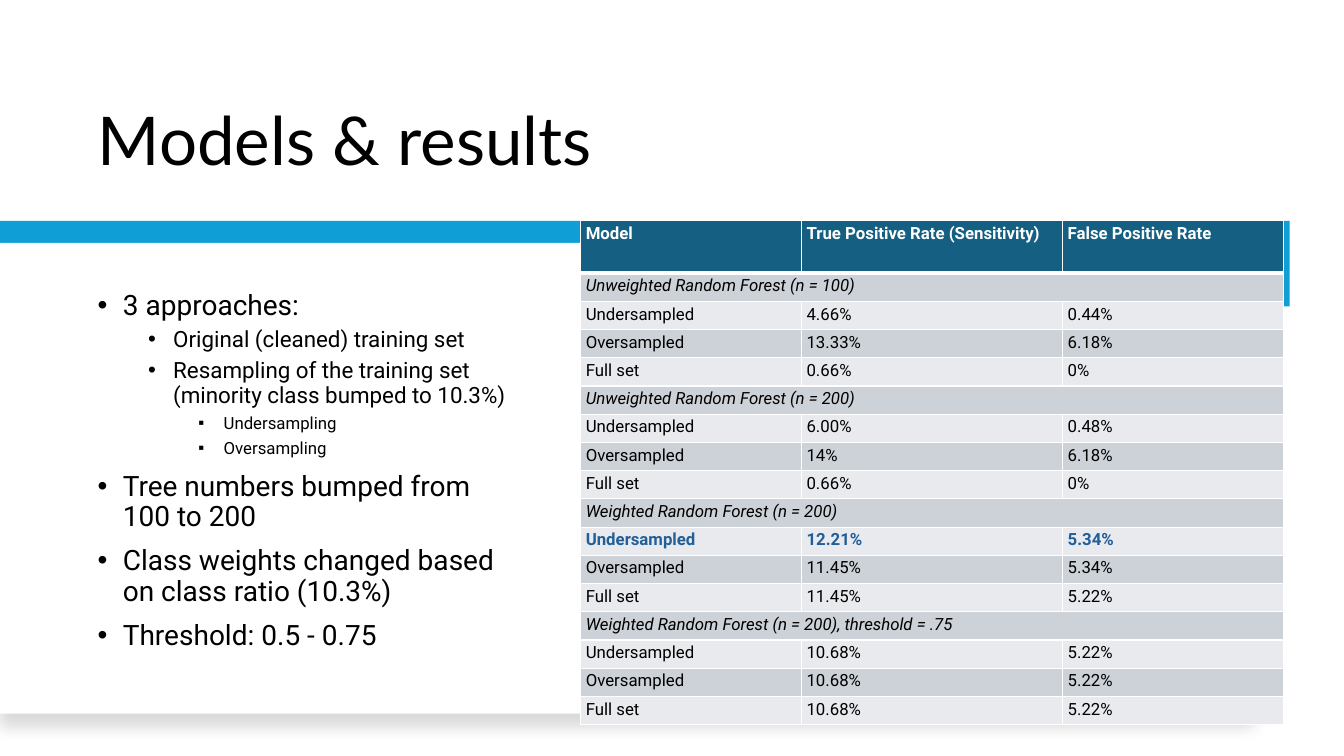
from lxml import etree
from pptx import Presentation
from pptx.dml.color import RGBColor
from pptx.enum.shapes import MSO_SHAPE
from pptx.enum.text import MSO_ANCHOR, MSO_AUTO_SIZE, PP_ALIGN
from pptx.oxml import parse_xml
from pptx.util import Inches, Pt

RECT = MSO_SHAPE.RECTANGLE
LEFT = PP_ALIGN.LEFT
BOTTOM, MIDDLE = MSO_ANCHOR.BOTTOM, MSO_ANCHOR.MIDDLE
FIXED = MSO_AUTO_SIZE.NONE
NS = "http://schemas.openxmlformats.org/drawingml/2006/main"
TAG = "{" + NS + "}"


def paint(fill, color):
    fill.solid()
    fill.fore_color.rgb = RGBColor.from_string(color)


def write(para, text, size, color="000000", face="Roboto"):
    run = para.add_run()
    run.text = text
    run.font.name = face
    run.font.size = Pt(size)
    paint(run.font.fill, color)
    return run.font


deck = Presentation()
deck.slide_width, deck.slide_height = Inches(13.33), Inches(7.5)
slide = deck.slides.add_slide(deck.slide_layouts[5])
shapes = slide.shapes

title = shapes.title
title.left, title.top = Inches(0.87), Inches(0.42)
title.width, title.height = Inches(11.01), Inches(1.42)
frame = title.text_frame
frame.auto_size = FIXED
frame.word_wrap = True
frame.vertical_anchor = BOTTOM
para = frame.paragraphs[0]
para.alignment = LEFT
para.line_spacing = 0.9
write(para, "Models & results", 48, face="Lato")

bars = [
    (0, 2.19, 12.53, 0.85, 0, "0F9ED5"),
    (0, 2.41, 12.45, 4.67, 0, "FFFFFF"),
    (12.28, 2.53, 0.85, 0.17, 90, "0F9ED5"),
]
for x, y, w, h, turn, color in bars:
    bar = shapes.add_shape(RECT, Inches(x), Inches(y), Inches(w), Inches(h))
    bar.rotation = turn
    bar.shadow.inherit = False
    bar.line.fill.background()
    paint(bar.fill, color)
    if color == "FFFFFF":
        glow = bar.element.spPr.find(TAG + "effectLst")
        glow.append(parse_xml(
            f'<a:outerShdw xmlns:a="{NS}" blurRad="{Pt(11)}" dist="{Pt(10)}" '
            'dir="5400000" algn="t" rotWithShape="0"><a:srgbClr val="000000">'
            '<a:alpha val="15000"/></a:srgbClr></a:outerShdw>'))

points = [
    (0, "3 approaches:"),
    (1, "Original (cleaned) training set"),
    (1, "Resampling of the training set (minority class bumped to 10.3%)"),
    (2, "Undersampling"),
    (2, "Oversampling"),
    (0, "Tree numbers bumped from 100 to 200"),
    (0, "Class weights changed based on class ratio (10.3%)"),
    (0, "Threshold: 0.5 - 0.75"),
]
looks = [(20, 10, "•"), (16, 5, "•"), (12, 5, "▪")]
body = shapes.add_textbox(Inches(0.87), Inches(2.9), Inches(4.36), Inches(3.98))
frame = body.text_frame
frame.word_wrap = True
frame.vertical_anchor = MIDDLE
frame.margin_bottom = Inches(0.48)
for n, (level, text) in enumerate(points):
    size, gap, mark = looks[level]
    para = frame.add_paragraph() if n else frame.paragraphs[0]
    para.level = level
    para.line_spacing = 0.9
    para.space_before = Pt(gap)
    write(para, text, size)
    props = para._p.get_or_add_pPr()
    props.set("marL", str(Inches(0.25 + 0.5 * level)))
    props.set("indent", str(Inches(-0.25)))
    etree.SubElement(props, TAG + "buFont", typeface="Arial")
    etree.SubElement(props, TAG + "buChar", char=mark)

rows = [
    ("Model", "True Positive Rate (Sensitivity)", "False Positive Rate"),
    ("Unweighted Random Forest (n = 100)",),
    ("Undersampled", "4.66%", "0.44%"),
    ("Oversampled", "13.33%", "6.18%"),
    ("Full set", "0.66%", "0%"),
    ("Unweighted Random Forest (n = 200)",),
    ("Undersampled", "6.00%", "0.48%"),
    ("Oversampled", "14%", "6.18%"),
    ("Full set", "0.66%", "0%"),
    ("Weighted Random Forest (n = 200)",),
    ("Undersampled", "12.21%", "5.34%"),
    ("Oversampled", "11.45%", "5.34%"),
    ("Full set", "11.45%", "5.22%"),
    ("Weighted Random Forest (n = 200), threshold = .75",),
    ("Undersampled", "10.68%", "5.22%"),
    ("Oversampled", "10.68%", "5.22%"),
    ("Full set", "10.68%", "5.22%"),
]
best = 10
grid = shapes.add_table(len(rows), 3, Inches(5.76), Inches(2.19),
                        Inches(6.97), Inches(4.99)).table
for col, width in zip(grid.columns, (2.19, 2.59, 2.19)):
    col.width = Inches(width)

for r, row in enumerate(rows):
    grid.rows[r].height = Inches(0.28 if r else 0.52)
    group = len(row) == 1
    if group:
        grid.cell(r, 0).merge(grid.cell(r, 2))
    for c in range(3):
        cell = grid.cell(r, c)
        cell.margin_left = cell.margin_right = Inches(0.05)
        cell.margin_top = cell.margin_bottom = Inches(0.03)
        props = cell._tc.get_or_add_tcPr()
        for side in "LRTB":
            thick = (r, side) in ((0, "B"), (1, "T"))
            edge = etree.SubElement(props, TAG + "ln" + side,
                                    w=str(Pt(3 if thick else 1)))
            ink = etree.SubElement(edge, TAG + "solidFill")
            etree.SubElement(ink, TAG + "srgbClr", val="FFFFFF")
        paint(cell.fill, "156082" if r == 0 else "CCD2D8" if r % 2 else "E8EAED")
        if c < len(row):
            color = {0: "FFFFFF", best: "215F9A"}.get(r, "000000")
            font = write(cell.text_frame.paragraphs[0], row[c], 12, color)
            font.bold = r in (0, best)
            font.italic = group

deck.save("out.pptx")
